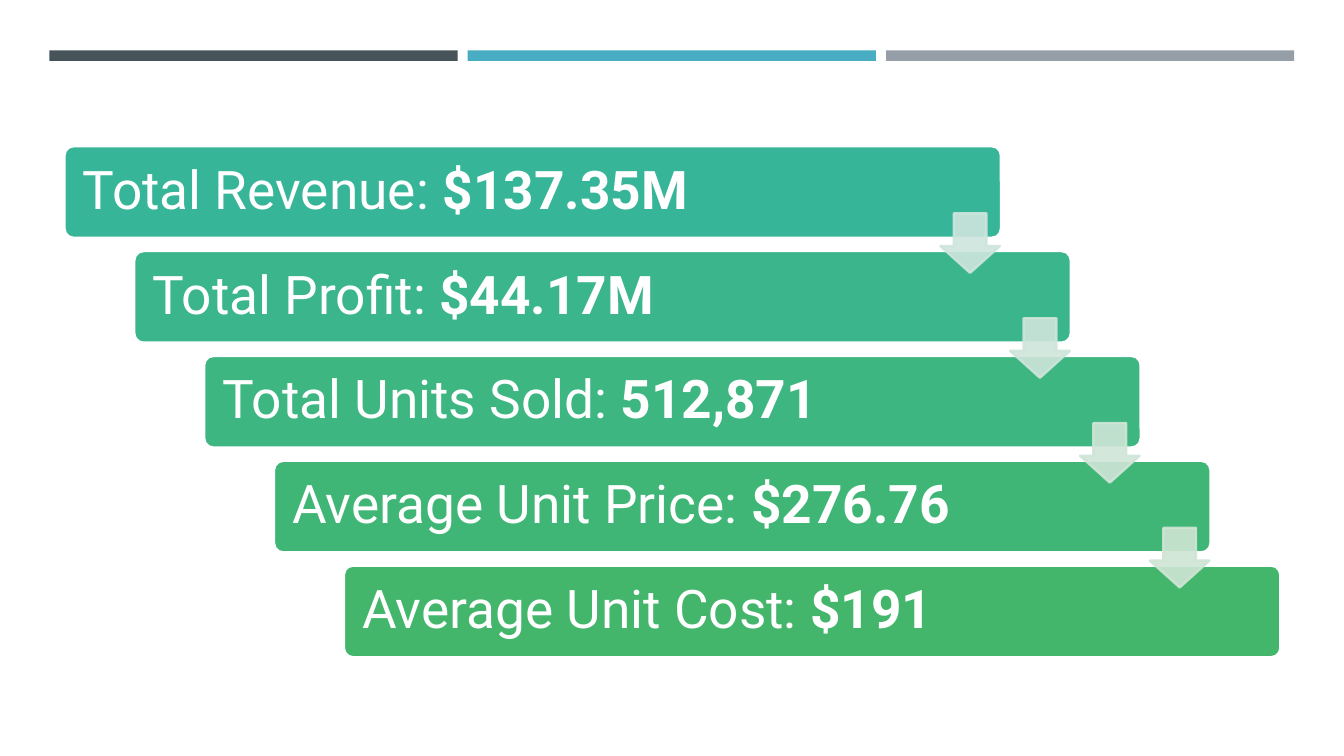
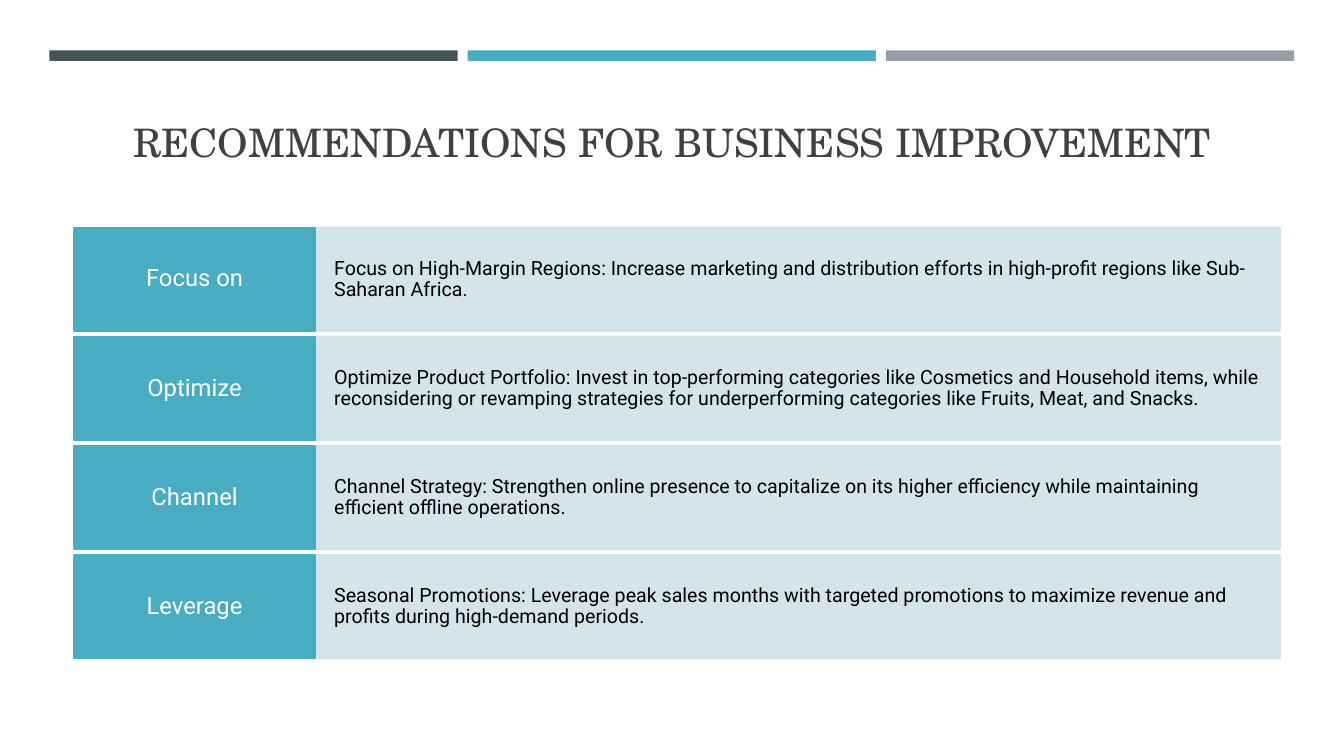
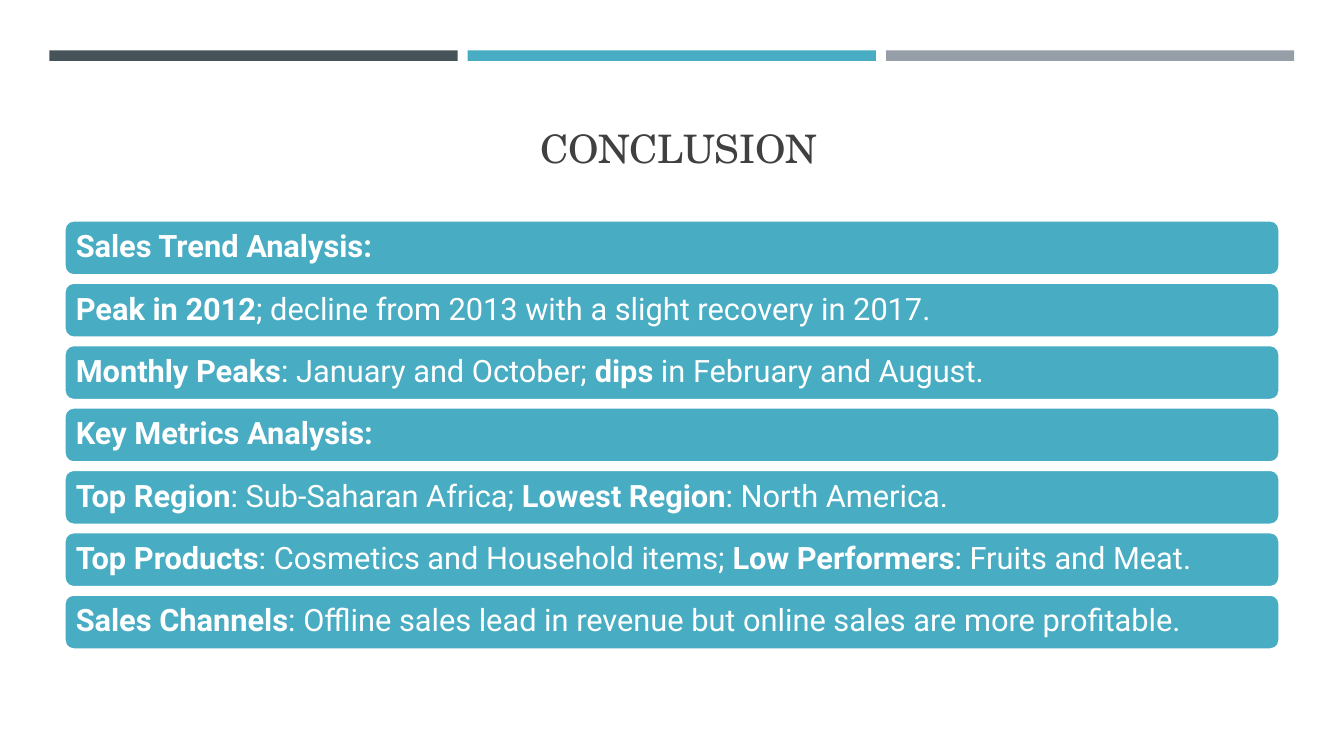
from lxml.etree import SubElement
from pptx import Presentation
from pptx.dml.color import RGBColor
from pptx.enum.shapes import MSO_SHAPE
from pptx.enum.text import MSO_ANCHOR, MSO_AUTO_SIZE, PP_ALIGN
from pptx.oxml.ns import qn
from pptx.util import Pt

BODY_FONT = "Roboto"
TITLE_FONT = "TeX Gyre Schola"
WHITE = "FFFFFF"
BLACK = "000000"
TEAL = "48ACC3"
PALE_TEAL = "CFE3E9"
TITLE_GREY = "404040"
BAND_COLORS = ["465359", TEAL, "969FA7"]
TITLE_ONLY, BLANK = 5, 6

METRICS = [
    ("Total Revenue: **$137.35M**", "37B598"),
    ("Total Profit: **$44.17M**", "3AB58C"),
    ("Total Units Sold: **512,871**", "3DB681"),
    ("Average Unit Price: **$276.76**", "40B676"),
    ("Average Unit Cost: **$191**", "43B66C"),
]
ARROW_COLORS = ["CEE5DD", "CEE5DA", "CFE5D7", "CFE5D4"]

RECOMMENDATIONS_TITLE = "RECOMMENDATIONS FOR BUSINESS IMPROVEMENT"
RECOMMENDATIONS = [
    ("Focus on",
     "Focus on High-Margin Regions: Increase marketing and distribution efforts "
     "in high-profit regions like Sub-Saharan Africa."),
    ("Optimize",
     "Optimize Product Portfolio: Invest in top-performing categories like Cosmetics "
     "and Household items, while reconsidering or revamping strategies for "
     "underperforming categories like Fruits, Meat, and Snacks."),
    ("Channel",
     "Channel Strategy: Strengthen online presence to capitalize on its higher "
     "efficiency while maintaining efficient offline operations."),
    ("Leverage",
     "Seasonal Promotions: Leverage peak sales months with targeted promotions to "
     "maximize revenue and profits during high-demand periods."),
]

CONCLUSION_TITLE = "CONCLUSION"
CONCLUSIONS = [
    "**Sales Trend Analysis:**",
    "**Peak in 2012**; decline from 2013 with a slight recovery in 2017.",
    "**Monthly Peaks**: January and October; **dips** in February and August.",
    "**Key Metrics Analysis:**",
    "**Top Region**: Sub-Saharan Africa; **Lowest Region**: North America.",
    "**Top Products**: Cosmetics and Household items; **Low Performers**: Fruits and Meat.",
    "**Sales Channels**: Offline sales lead in revenue but online sales are more profitable.",
]


def rgb(color):
    return RGBColor.from_string(color)


def add_block(slide, preset, box, fill, line=None, opacity=100, adjustments=()):
    block = slide.shapes.add_shape(preset, *map(Pt, box))
    block.shadow.inherit = False
    for index, value in enumerate(adjustments):
        block.adjustments[index] = value
    block.fill.solid()
    block.fill.fore_color.rgb = rgb(fill)
    if line:
        block.line.color.rgb = rgb(line)
        block.line.width = Pt(1.75)
    else:
        block.line.fill.background()
    if opacity < 100:
        for color in block.element.spPr.iter(qn("a:srgbClr")):
            SubElement(color, qn("a:alpha"), val=str(opacity * 1000))
    return block


def write(block, text, size, inset, color=WHITE, align=PP_ALIGN.LEFT):
    frame = block.text_frame
    frame.word_wrap = True
    frame.vertical_anchor = MSO_ANCHOR.MIDDLE
    frame.margin_left = frame.margin_right = Pt(inset)
    frame.margin_top = frame.margin_bottom = 0
    paragraph = frame.paragraphs[0]
    paragraph.alignment = align
    paragraph.line_spacing = 0.9
    paragraph.font.name = BODY_FONT
    paragraph.font.size = Pt(size)
    paragraph.font.color.rgb = rgb(color)
    for index, part in enumerate(text.split("**")):
        if part:
            run = paragraph.add_run()
            run.text = part
            run.font.bold = index % 2 == 1


def add_bands(prs, slide):
    for index, color in enumerate(BAND_COLORS):
        box = (35.3 + 298.8 * index, 36, 291.6, 7.5)
        band = add_block(slide, MSO_SHAPE.RECTANGLE, box, color).element
        band.nvSpPr.cNvPr.set("id", str(101 + index))
        prs.slide_master.shapes.element.append(band)


def add_titled_slide(prs, text, box):
    slide = prs.slides.add_slide(prs.slide_layouts[TITLE_ONLY])
    title = slide.shapes.title
    title.left, title.top, title.width, title.height = map(Pt, box)
    frame = title.text_frame
    frame.text = text
    frame.word_wrap = True
    frame.auto_size = MSO_AUTO_SIZE.NONE
    frame.vertical_anchor = MSO_ANCHOR.BOTTOM
    paragraph = frame.paragraphs[0]
    paragraph.alignment = PP_ALIGN.CENTER
    paragraph.font.name = TITLE_FONT
    paragraph.font.size = Pt(28)
    paragraph.font.color.rgb = rgb(TITLE_GREY)
    return slide


def fill_metrics(slide):
    left, top, step_x, step_y = 46, 104.4, 49.9, 74.9
    for index, (metric, color) in enumerate(METRICS):
        box = (left + step_x * index, top + step_y * index, 669, 65.5)
        bar = add_block(slide, MSO_SHAPE.ROUNDED_RECTANGLE, box, color, WHITE,
                        adjustments=[0.1])
        write(bar, metric, 38, 11.3)
    for index, color in enumerate(ARROW_COLORS):
        box = (left + 625.7 + step_x * index, top + 48 + step_y * index, 42.5, 42.5)
        add_block(slide, MSO_SHAPE.DOWN_ARROW, box, color, color, 90, [0.55, 0.45])


def fill_recommendations(slide):
    left, label_width, advice_width, height = 52.8, 172.4, 689, 73.5
    for index, (label, advice) in enumerate(RECOMMENDATIONS):
        top = 162.7 + 78 * index
        advice_box = (left + label_width, top, advice_width, height)
        panel = add_block(slide, MSO_SHAPE.RECTANGLE, advice_box, PALE_TEAL, PALE_TEAL, 90)
        write(panel, advice, 14, 13.5, BLACK)
        label_box = (left, top, label_width, height)
        tag = add_block(slide, MSO_SHAPE.RECTANGLE, label_box, TEAL, TEAL)
        write(tag, label, 17, 9.4, align=PP_ALIGN.CENTER)


def fill_conclusions(slide):
    for index, conclusion in enumerate(CONCLUSIONS):
        box = (46, 157.4 + 44.55 * index, 868, 39.3)
        bar = add_block(slide, MSO_SHAPE.ROUNDED_RECTANGLE, box, TEAL, WHITE)
        write(bar, conclusion, 22, 6.2)


def main():
    prs = Presentation()
    prs.slide_width, prs.slide_height = Pt(960), Pt(540)
    metrics = prs.slides.add_slide(prs.slide_layouts[BLANK])
    add_bands(prs, metrics)
    fill_metrics(metrics)
    fill_recommendations(
        add_titled_slide(prs, RECOMMENDATIONS_TITLE, (46, 55.4, 868, 66.2)))
    fill_conclusions(add_titled_slide(prs, CONCLUSION_TITLE, (51, 48.2, 868, 77.8)))
    prs.save("out.pptx")


if __name__ == "__main__":
    main()
